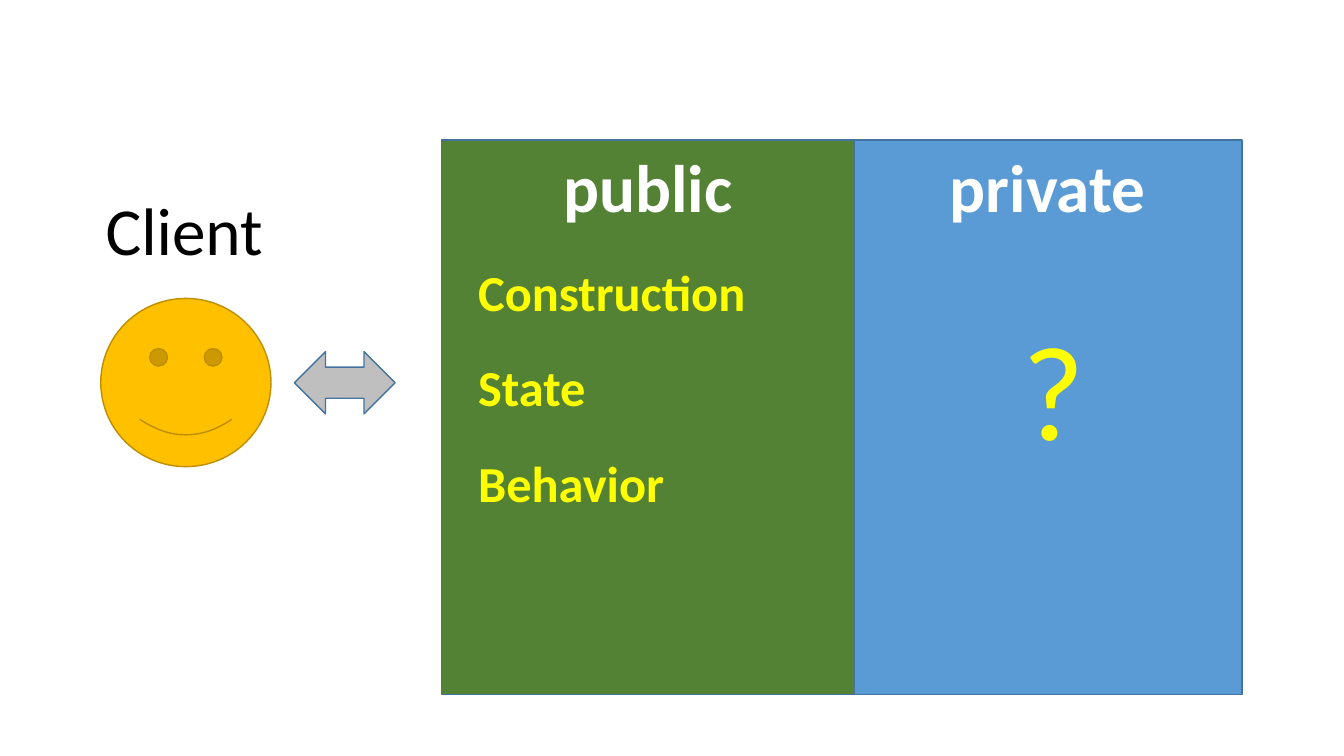
from dataclasses import dataclass

from pptx import Presentation
from pptx.dml.color import RGBColor
from pptx.enum.shapes import MSO_SHAPE as Preset
from pptx.enum.text import MSO_ANCHOR as Anchor, PP_ALIGN as Align
from pptx.slide import Slide
from pptx.text.text import TextFrame
from pptx.util import Cm, Pt

BLUE_EDGE = "43739E"
YELLOW = "FFFF00"
PANEL_LEFT, PANEL_TOP, PANEL_HEIGHT = 11.13, 3.53, 13.97
MEMBER_TOP, MEMBER_STEP = 6.45, 2.41


@dataclass(frozen=True)
class Box:
    left: float
    top: float
    width: float
    height: float

    def lengths(self) -> tuple[Cm, Cm, Cm, Cm]:
        return Cm(self.left), Cm(self.top), Cm(self.width), Cm(self.height)


@dataclass(frozen=True)
class Figure:
    preset: Preset
    box: Box
    fill: str
    edge: str = BLUE_EDGE
    heading: str = ""


@dataclass(frozen=True)
class Label:
    text: str
    box: Box
    size: int
    color: str = YELLOW
    bold: bool = False


def rgb(color: str) -> RGBColor:
    return RGBColor.from_string(color)


def write(frame: TextFrame, text: str, size: int, color: str, bold: bool, align: Align) -> None:
    frame.word_wrap = True
    frame.vertical_anchor = Anchor.TOP
    line = frame.paragraphs[0]
    line.alignment = align
    run = line.add_run()
    run.text = text
    for name, value in {"name": "Calibri", "size": Pt(size), "bold": bold}.items():
        setattr(run.font, name, value)
    run.font.color.rgb = rgb(color)


def draw_figure(slide: Slide, figure: Figure) -> None:
    shape = slide.shapes.add_shape(figure.preset, *figure.box.lengths())
    shape.shadow.inherit = False
    shape.fill.solid()
    shape.fill.fore_color.rgb = rgb(figure.fill)
    shape.line.color.rgb = rgb(figure.edge)
    shape.line.width = Pt(1)
    if figure.heading:
        write(shape.text_frame, figure.heading, 48, "FFFFFF", True, Align.CENTER)


def draw_label(slide: Slide, label: Label) -> None:
    frame = slide.shapes.add_textbox(*label.box.lengths()).text_frame
    write(frame, label.text, label.size, label.color, label.bold, Align.LEFT)


def main() -> None:
    deck = Presentation()
    deck.slide_width, deck.slide_height = Cm(33.87), Cm(19.05)
    slide = deck.slides.add_slide(deck.slide_layouts[6])

    public_width, private_width = 10.39, 9.78
    public = Box(PANEL_LEFT, PANEL_TOP, public_width, PANEL_HEIGHT)
    private = Box(PANEL_LEFT + public_width, PANEL_TOP, private_width, PANEL_HEIGHT)
    figures = [
        Figure(Preset.RECTANGLE, public, "548235", heading="public"),
        Figure(Preset.RECTANGLE, private, "5B9BD5", heading="private"),
        Figure(Preset.SMILEY_FACE, Box(2.54, 7.52, 4.29, 4.24), "FFC000", "BD8E00"),
        Figure(Preset.LEFT_RIGHT_ARROW, Box(7.42, 8.86, 2.54, 1.57), "BFBFBF"),
    ]
    members = [
        Label(name, Box(11.8, MEMBER_TOP + row * MEMBER_STEP, 7.6, 1.8), 36, bold=True)
        for row, name in enumerate(["Construction", "State", "Behavior"])
    ]
    unknown = Label("?", Box(25.53, 7.59, 3.96, 4.37), 96)
    client = Label("Client", Box(2.41, 4.62, 5, 2.31), 48, "000000")

    for figure in figures:
        draw_figure(slide, figure)
    for label in [*members, unknown, client]:
        draw_label(slide, label)
    deck.save("out.pptx")


if __name__ == "__main__":
    main()
